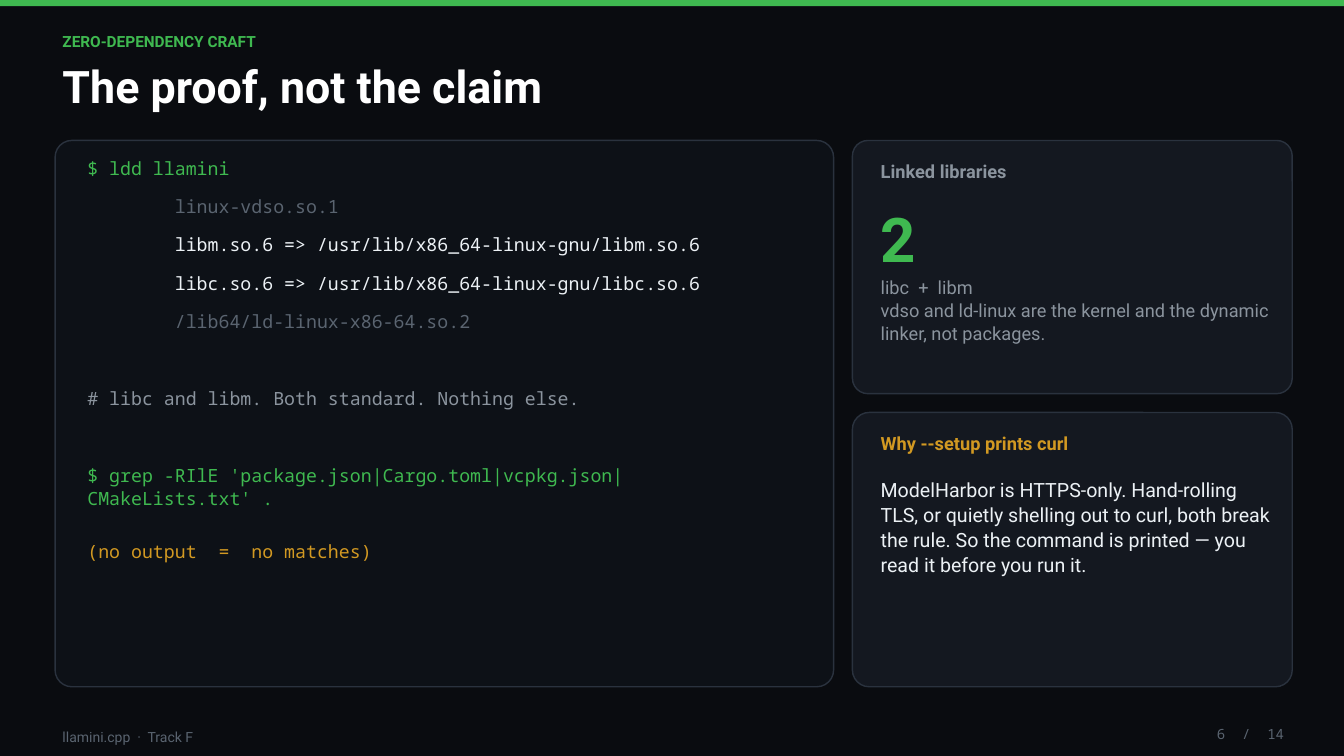
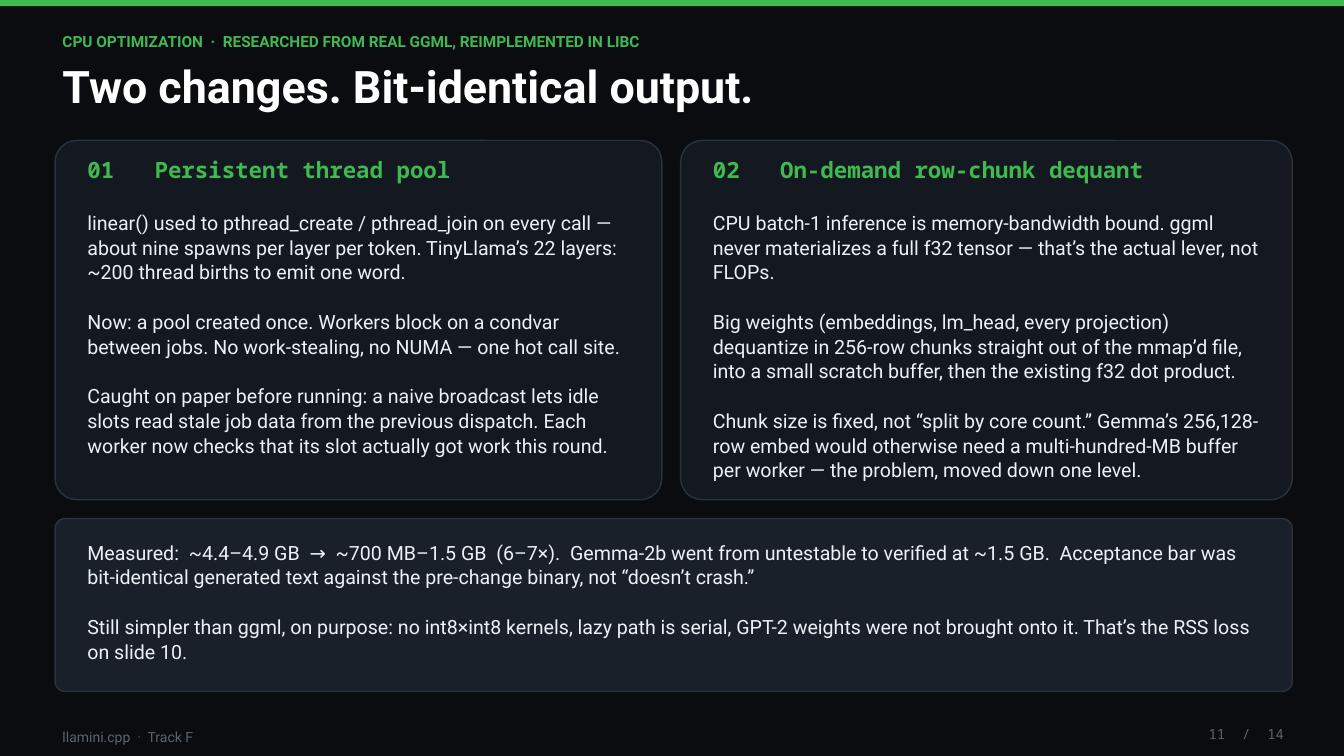
import collections

import pptx
import pptx.dml.color
import pptx.enum.shapes
import pptx.enum.text
import pptx.oxml
import pptx.oxml.ns
import pptx.util

Box = collections.namedtuple("Box", "x y w h")

SLIDE = Box(0, 0, 20, 11.25)
MARGIN, BODY_TOP, BODY_W = 0.82, 2.09, 18.41
TEXT_X = 0.93
GAP = 0.28
PAGES = 14

SANS, MONO = "Roboto", "Noto Sans Mono"
BG, TERMINAL, CARD, BAND, EDGE = "0A0C10", "0D1117", "141820", "1A202A", "2A323E"
GREEN, AMBER, WHITE, LIGHT = "3FB950", "D29922", "FFFFFF", "ECF1F5"
GREY, DIM = "8B949E", "5A6470"

Style = collections.namedtuple("Style", "size leading font color bold", defaults=(SANS, LIGHT, False))
KICKER = Style(16.5, 20.8, color=GREEN, bold=True)
TITLE = Style(48, 60.5, color=WHITE, bold=True)
FOOTER = Style(15, 18.9, color=DIM)
BODY = Style(21, 26.5)
NOTE = Style(19.5, 24.6, color=GREY)
CODE = NOTE._replace(font=MONO)
CARD_TITLE = NOTE._replace(bold=True)
BIG_NUMBER = Style(66, 83.2, color=GREEN, bold=True)
NUMBERED = Style(24, 30.3, MONO, GREEN, True)


def rgb(value):
    return pptx.dml.color.RGBColor.from_string(value)


def emu(box):
    return [pptx.util.Inches(v) for v in box]


def inset(box, dx, dy, h):
    """Box of height h, dx in from both sides and dy below the top."""
    return Box(box.x + dx, box.y + dy, box.w - 2 * dx, h)


def columns(box, share):
    w = (box.w - GAP) * share
    return box._replace(w=w), Box(box.x + w + GAP, box.y, box.w - w - GAP, box.h)


def rows(box, share):
    h = (box.h - GAP) * share
    return box._replace(h=h), Box(box.x, box.y + h + GAP, box.w, box.h - h - GAP)


def add_text(s, box, paragraphs, style, space=0, right=False, tab=None):
    """Write paragraphs in one style, with space points between them."""
    tf = s.shapes.add_textbox(*emu(box)).text_frame
    tf.word_wrap = True
    tf.margin_left = tf.margin_top = tf.margin_right = tf.margin_bottom = 0
    for i, text in enumerate(paragraphs):
        p = tf.paragraphs[0] if i == 0 else tf.add_paragraph()
        p.add_run().text = text
        p.line_spacing = pptx.util.Pt(style.leading)
        if i and space:
            p.space_before = pptx.util.Pt(space)
        if right:
            p.alignment = pptx.enum.text.PP_ALIGN.RIGHT
        if tab:
            tabs = pptx.oxml.parse_xml(
                f'<a:tabLst {pptx.oxml.ns.nsdecls("a")}>'
                f'<a:tab pos="{pptx.util.Inches(tab)}" algn="l"/></a:tabLst>')
            p._p.get_or_add_pPr().append(tabs)
        p.font.size = pptx.util.Pt(style.size)
        p.font.name = style.font
        p.font.bold = style.bold
        p.font.color.rgb = rgb(style.color)


def add_panel(s, box, fill, radius=0, edge=None):
    kinds = pptx.enum.shapes.MSO_SHAPE
    kind = kinds.ROUNDED_RECTANGLE if radius else kinds.RECTANGLE
    sp = s.shapes.add_shape(kind, *emu(box))
    sp.shadow.inherit = False
    if radius:
        sp.adjustments[0] = radius / min(box.w, box.h)
    sp.fill.solid()
    sp.fill.fore_color.rgb = rgb(fill)
    if edge:
        sp.line.color.rgb = rgb(edge)
        sp.line.width = pptx.util.Pt(1.5)
    else:
        sp.line.fill.background()


def add_frame(prs, kicker, title, page):
    """New slide with top bar, headings and footer."""
    s = prs.slides.add_slide(prs.slide_layouts[6])
    s.background.fill.solid()
    s.background.fill.fore_color.rgb = rgb(BG)
    add_panel(s, SLIDE._replace(h=0.09), GREEN)
    add_text(s, Box(TEXT_X, 10.83, 8.81, 0.32), ["llamini.cpp  ·  Track F"], FOOTER)
    add_text(s, Box(17.21, 10.79, 1.9, 0.36), [f"{page}  /  {PAGES}"],
             FOOTER._replace(font=MONO), right=True)
    add_text(s, Box(TEXT_X, 0.46, 18.11, 0.33), [kicker], KICKER)
    add_text(s, Box(TEXT_X, 0.84, 18.11, 0.98), [title], TITLE)
    return s


def add_terminal(s, box, lines):
    """Code panel; lines maps a row number to its text and colour."""
    add_panel(s, box, TERMINAL, 0.25, EDGE)
    pitch = 0.571
    for row, (text, color) in lines.items():
        add_text(s, inset(box, 0.48, 0.23 + row * pitch, 0.43), [text],
                 CODE._replace(color=color))


def add_card(s, box, title, color, radius, parts):
    """Titled card; parts are (top, height, paragraphs, style)."""
    add_panel(s, box, CARD, radius, EDGE)
    add_text(s, inset(box, 0.42, 0.28, 0.44), [title], CARD_TITLE._replace(color=color))
    for top, height, paragraphs, style in parts:
        add_text(s, inset(box, 0.42, top, height)._replace(w=5.8), paragraphs, style)


def add_numbered_card(s, box, number, title, paragraphs):
    add_panel(s, box, CARD, 0.32, EDGE)
    add_text(s, inset(box, 0.48, 0.21, 0.5), [f"{number}\t{title}"], NUMBERED, tab=1)
    add_text(s, inset(box, 0.48, 1.03, 3.89), paragraphs, BODY, BODY.leading)


def add_result_band(s, box, paragraphs):
    add_panel(s, box, BAND, 0.15, EDGE)
    add_text(s, inset(box, 0.48, 0.31, 1.94)._replace(w=17.51), paragraphs, BODY, BODY.leading)


def build_proof(prs):
    s = add_frame(prs, "ZERO-DEPENDENCY CRAFT", "The proof, not the claim", 6)
    terminal, side = columns(Box(MARGIN, BODY_TOP, BODY_W, 8.13), 0.639)
    libraries, setup = rows(side, 0.48)
    add_terminal(s, terminal, {
        0: ("$ ldd llamini", GREEN),
        1: ("        linux-vdso.so.1", DIM),
        2: ("        libm.so.6 => /usr/lib/x86_64-linux-gnu/libm.so.6", LIGHT),
        3: ("        libc.so.6 => /usr/lib/x86_64-linux-gnu/libc.so.6", LIGHT),
        4: ("        /lib64/ld-linux-x86-64.so.2", DIM),
        6: ("# libc and libm. Both standard. Nothing else.", GREY),
        8: ("$ grep -RIlE 'package.json|Cargo.toml|vcpkg.json|CMakeLists.txt' .", GREEN),
        10: ("(no output  =  no matches)", AMBER),
    })
    add_card(s, libraries, "Linked libraries", GREY, 0.23, [
        (0.85, 0.99, ["2"], BIG_NUMBER),
        (2, 1.26, ["libc  +  libm",
                   "vdso and ld-linux are the kernel and the dynamic linker, not packages."], NOTE),
    ])
    add_card(s, setup, "Why --setup prints curl", AMBER, 0.25, [
        (0.96, 2.69, ["ModelHarbor is HTTPS-only. Hand-rolling TLS, or quietly shelling out to curl, "
                      "both break the rule. So the command is printed — you read it before "
                      "you run it."], BODY),
    ])


def build_changes(prs):
    s = add_frame(prs, "CPU OPTIMIZATION  ·  RESEARCHED FROM REAL GGML, REIMPLEMENTED IN LIBC",
                  "Two changes. Bit-identical output.", 11)
    cards, result = rows(Box(MARGIN, BODY_TOP, BODY_W, 8.2), 0.675)
    pool, dequant = columns(cards, 0.498)
    add_numbered_card(s, pool, "01", "Persistent thread pool", [
        "linear() used to pthread_create / pthread_join on every call — about nine spawns "
        "per layer per token. TinyLlama’s 22 layers: ~200 thread births to emit one word.",
        "Now: a pool created once. Workers block on a condvar between jobs. "
        "No work-stealing, no NUMA — one hot call site.",
        "Caught on paper before running: a naive broadcast lets idle slots read stale job data "
        "from the previous dispatch. Each worker now checks that its slot actually got work "
        "this round.",
    ])
    add_numbered_card(s, dequant, "02", "On-demand row-chunk dequant", [
        "CPU batch-1 inference is memory-bandwidth bound. ggml never materializes a full f32 "
        "tensor — that’s the actual lever, not FLOPs.",
        "Big weights (embeddings, lm_head, every projection) dequantize in 256-row chunks "
        "straight out of the mmap’d file, into a small scratch buffer, then the existing f32 "
        "dot product.",
        "Chunk size is fixed, not “split by core count.” Gemma’s 256,128-row embed would "
        "otherwise need a multi-hundred-MB buffer per worker — the problem, moved down one level.",
    ])
    add_result_band(s, result, [
        "Measured:  ~4.4–4.9 GB  →  ~700 MB–1.5 GB  (6–7×).  Gemma-2b went from untestable to "
        "verified at ~1.5 GB.  Acceptance bar was bit-identical generated text against the "
        "pre-change binary, not “doesn’t crash.”",
        "Still simpler than ggml, on purpose: no int8×int8 kernels, lazy path is serial, GPT-2 "
        "weights were not brought onto it. That’s the RSS loss on slide 10.",
    ])


def main():
    prs = pptx.Presentation()
    prs.slide_width, prs.slide_height = emu(SLIDE[2:])
    build_proof(prs)
    build_changes(prs)
    prs.save("out.pptx")


if __name__ == "__main__":
    main()
